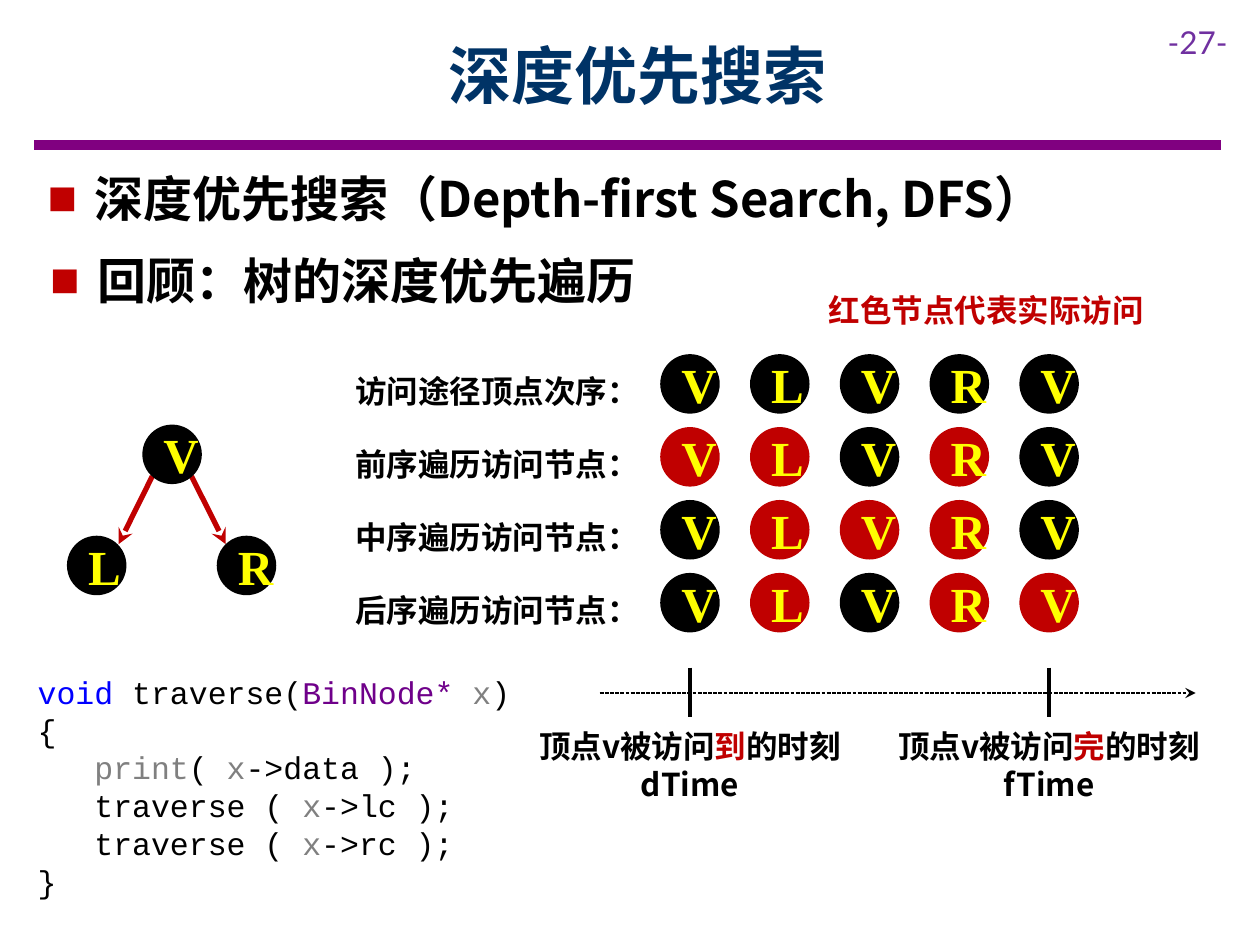
import pptx
import pptx.dml.color
import pptx.enum.dml
import pptx.enum.shapes
import pptx.enum.text
import pptx.oxml.ns
import pptx.util
from lxml import etree
from pptx.util import Cm, Pt

SANS, SERIF, MONO = "Noto Sans CJK SC", "Times New Roman", "Courier New"
BLACK, RED, YELLOW, GRAY = "000000", "C00000", "FFFF00", "808080"
LEFT, CENTER = pptx.enum.text.PP_ALIGN.LEFT, pptx.enum.text.PP_ALIGN.CENTER
MIDDLE = pptx.enum.text.MSO_ANCHOR.MIDDLE

# All positions and sizes are in centimetres.
TITLE = "深度优先搜索"
BULLETS = [
    ("深度优先搜索（Depth-first Search, DFS）", (0.71, 3.28, 24.05, 1.45)),
    ("回顾：树的深度优先遍历", (0.76, 4.93, 14.94, 1.45)),
]
NODE_SIZE = 1.2
TREE_NODES = [("L", 1.35, 10.8), ("V", 2.87, 8.56), ("R", 4.37, 10.8)]
TREE_ARROWS = [((3.07, 9.6), (2.39, 10.97)), ((3.86, 9.6), (4.55, 10.97))]

VISIT_PATH = "VLVRV"
TRAVERSALS = [  # label, indexes of the visited steps
    ("访问途径顶点次序：", ()),
    ("前序遍历访问节点：", (0, 1, 3)),
    ("中序遍历访问节点：", (1, 2, 3)),
    ("后序遍历访问节点：", (1, 3, 4)),
]
GRID_LEFT, GRID_TOP, COLUMN_STEP, ROW_STEP = 13.31, 7.14, 1.81, 1.47
TIME_MARKS = [(0, "到", "dTime"), (4, "完", "fTime")]  # column, key word, name
CODE = [
    [("void", "0000FF"), (" traverse(", BLACK), ("BinNode*", "6F008A"),
     (" ", BLACK), ("x", GRAY), (")", BLACK)],
    [("{", BLACK)],
    [("   print", GRAY), ("( ", BLACK), ("x", GRAY), ("->data );", BLACK)],
    [("   traverse ( ", BLACK), ("x", GRAY), ("->lc );", BLACK)],
    [("   traverse ( ", BLACK), ("x", GRAY), ("->rc );", BLACK)],
    [("}", BLACK)],
]


def rgb(color):
    return pptx.dml.color.RGBColor.from_string(color)


def add_element(parent, tag, **attributes):
    return etree.SubElement(parent, pptx.oxml.ns.qn(tag), attributes)


def write(frame, lines, size=18, font=SANS, color=BLACK, bold=True,
          align=LEFT, leading=None):
    """Fill a text frame; each line is a string or a list of (text, color)."""
    for index, line in enumerate(lines):
        para = frame.paragraphs[0] if index == 0 else frame.add_paragraph()
        para.alignment = align
        if leading:
            para.line_spacing = Pt(size * leading)
        for text, tint in [(line, color)] if isinstance(line, str) else line:
            span = para.add_run()
            span.text = text
            span.font.size, span.font.bold = Pt(size), bold
            span.font.name = font
            span.font.color.rgb = rgb(tint)
            add_element(span.font._element, "a:ea", typeface=font)


def add_text(page, place, lines, wrap=True, leading=1.2, **style):
    box = page.shapes.add_textbox(*map(Cm, place))
    box.text_frame.word_wrap = wrap
    write(box.text_frame, lines, leading=leading, **style)
    return box


def add_bullet(para):
    para.space_after = Pt(6)
    properties = para._p.get_or_add_pPr()
    properties.set("marL", str(Cm(0.95)))
    properties.set("indent", str(-Cm(0.95)))
    add_element(add_element(properties, "a:buClr"), "a:srgbClr", val=RED)
    add_element(properties, "a:buFont", typeface=SERIF)
    add_element(properties, "a:buChar", char="■")


def add_line(page, start, end, color=BLACK, width=2, dash=None, arrow=False):
    line = page.shapes.add_connector(
        pptx.enum.shapes.MSO_CONNECTOR.STRAIGHT, *map(Cm, start + end))
    line.line.color.rgb = rgb(color)
    line.line.width = Pt(width)
    if dash:
        line.line.dash_style = dash
    if arrow:
        add_element(line.line._get_or_add_ln(), "a:tailEnd", type="stealth")
    add_element(line._element.spPr, "a:effectLst")


def add_node(page, letter, left, top, fill=BLACK):
    node = page.shapes.add_shape(
        pptx.enum.shapes.MSO_SHAPE.OVAL,
        *map(Cm, (left, top, NODE_SIZE, NODE_SIZE)))
    node.shadow.inherit = False
    node.fill.solid()
    node.fill.fore_color.rgb = rgb(fill)
    node.line.fill.background()
    frame = node.text_frame
    frame.word_wrap = True
    frame.vertical_anchor = MIDDLE
    frame.margin_left = frame.margin_right = Cm(0.25)
    frame.margin_top = frame.margin_bottom = Cm(0.25)
    write(frame, [letter], size=28, font=SERIF, color=YELLOW, align=CENTER)


def add_heading(page):
    add_line(page, (0.69, 2.92), (24.61, 2.92), color="800080", width=6)
    add_text(page, (23.29, 0.33, 2.11, 1.02), ["-27-"], font="Lato",
             color="7030A0", bold=False)
    title = page.shapes.title
    title.left, title.top, title.width, title.height = map(
        Cm, (2.29, 0.23, 21.11, 2.54))
    title.text_frame.vertical_anchor = MIDDLE
    write(title.text_frame, [TITLE], size=36, color="003366", align=CENTER)
    for text, place in BULLETS:
        box = add_text(page, place, [text], size=28)
        add_bullet(box.text_frame.paragraphs[0])


def add_tree(page):
    for start, end in TREE_ARROWS:
        add_line(page, start, end, color=RED, width=3, arrow=True)
    for letter, left, top in TREE_NODES:
        add_node(page, letter, left, top)


def add_traversals(page):
    for row, (label, visited) in enumerate(TRAVERSALS):
        top = GRID_TOP + row * ROW_STEP
        add_text(page, (6.91, top + 0.23, 6.27, 1.02), [label], wrap=False)
        for column, letter in enumerate(VISIT_PATH):
            add_node(page, letter, GRID_LEFT + column * COLUMN_STEP, top,
                     fill=RED if column in visited else BLACK)
    add_text(page, (16.46, 5.74, 6.93, 1.02), ["红色节点代表实际访问"],
             wrap=False, color=RED)


def add_timeline(page):
    add_line(page, (12.09, 13.97), (24.1, 13.97), width=0.75, arrow=True,
             dash=pptx.enum.dml.MSO_LINE.SQUARE_DOT)
    width = 6.65
    for column, key, name in TIME_MARKS:
        center = GRID_LEFT + column * COLUMN_STEP + NODE_SIZE / 2
        add_line(page, (center, 13.46), (center, 14.45))
        caption = [("顶点v被访问", BLACK), (key, RED), ("的时刻", BLACK)]
        add_text(page, (center - width / 2, 14.53, width, 1.8),
                 [caption, name], align=CENTER)


def main():
    deck = pptx.Presentation()
    deck.slide_width, deck.slide_height = Cm(25.4), Cm(19.05)
    page = deck.slides.add_slide(deck.slide_layouts[5])
    add_heading(page)
    add_tree(page)
    add_traversals(page)
    add_timeline(page)
    add_text(page, (0.51, 13.44, 10.11, 4.88), CODE, font=MONO, bold=False)
    deck.save("out.pptx")


if __name__ == "__main__":
    main()
